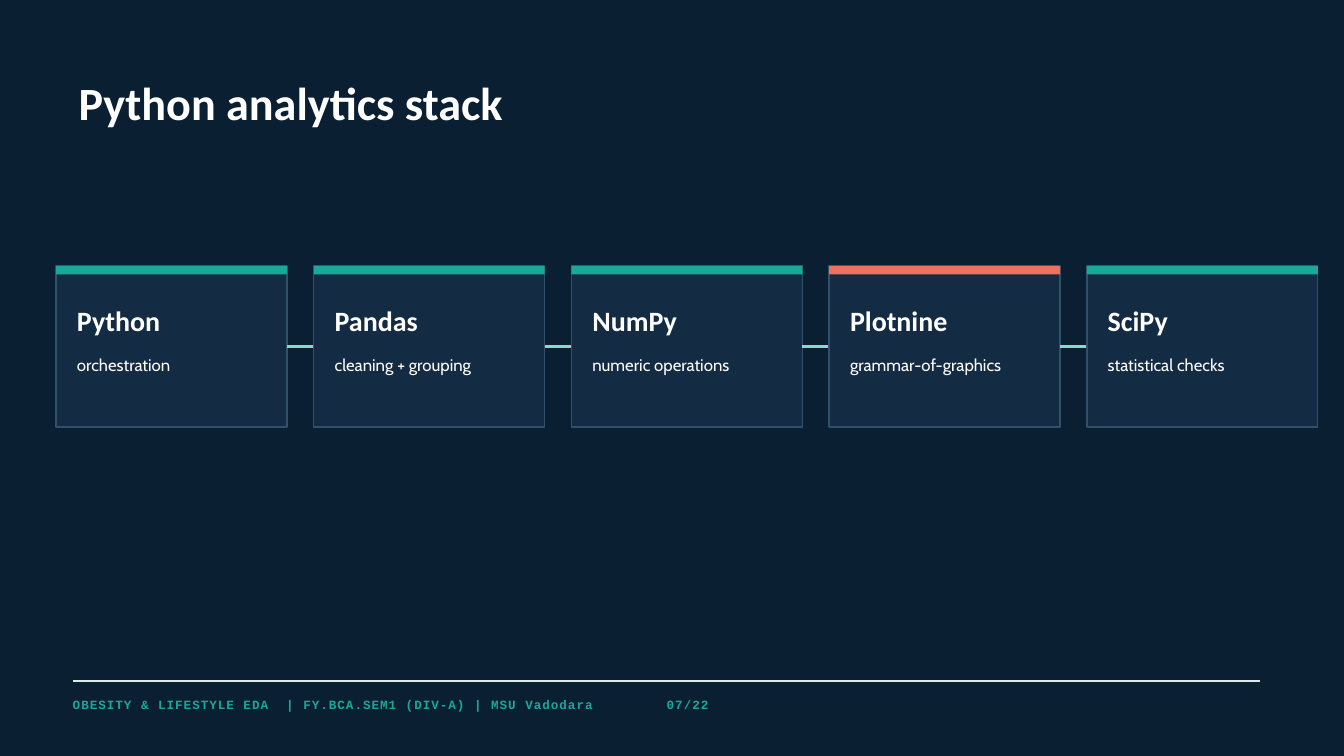
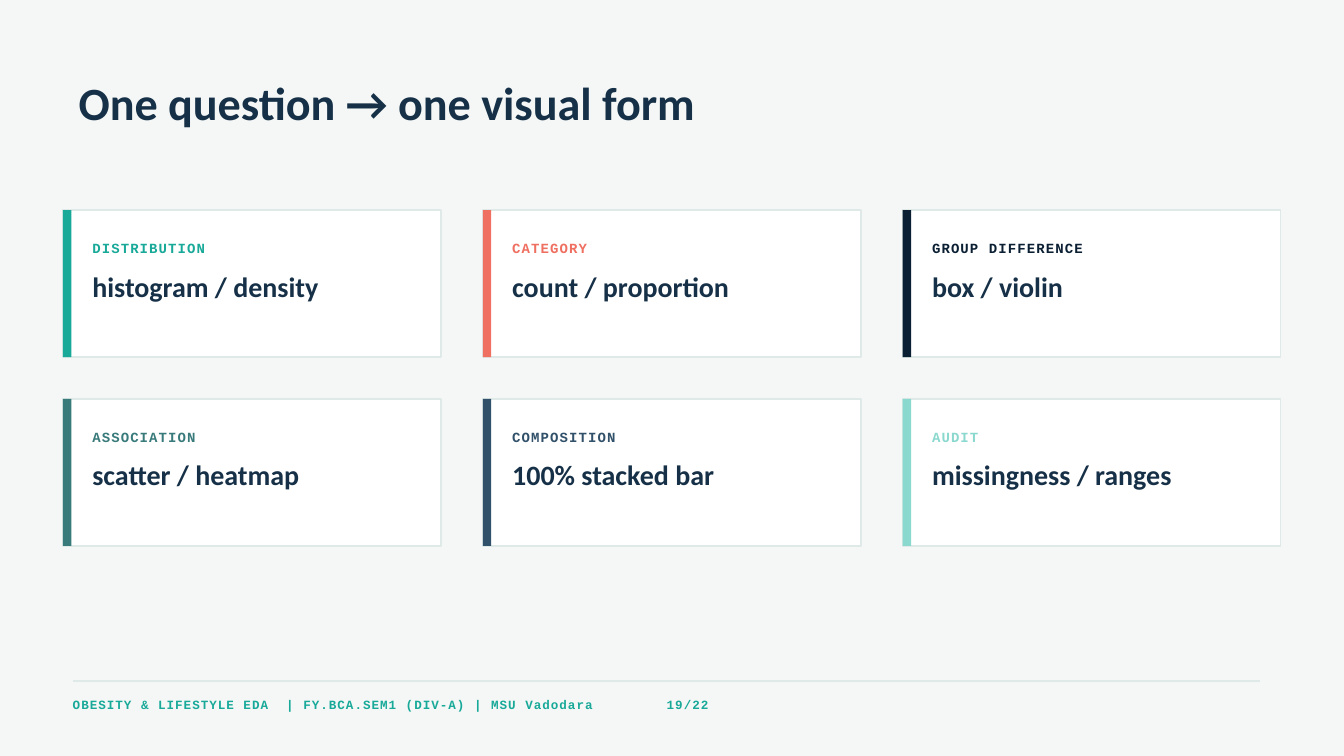
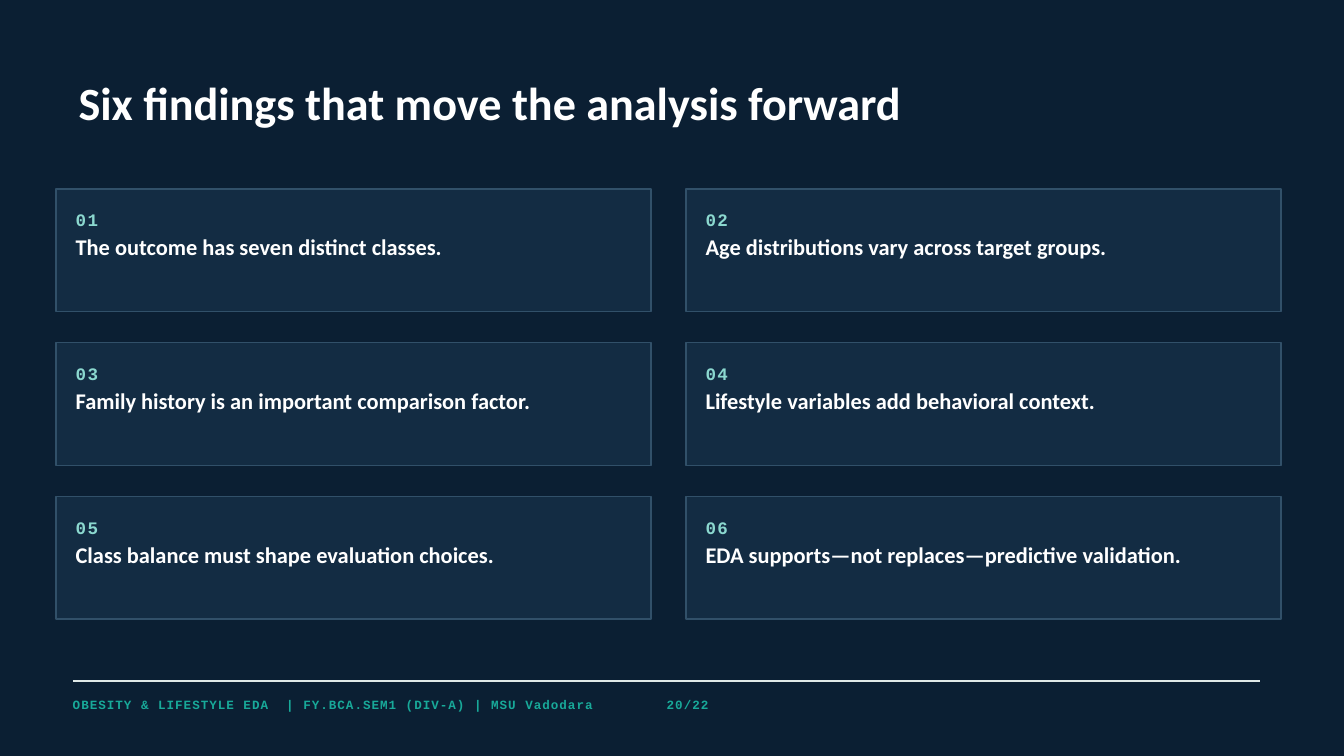
from lxml.etree import SubElement
from pptx import Presentation
from pptx.dml.color import RGBColor
from pptx.enum.shapes import MSO_CONNECTOR, MSO_SHAPE
from pptx.enum.text import MSO_ANCHOR, MSO_AUTO_SIZE, PP_ALIGN
from pptx.oxml.ns import qn
from pptx.util import Cm, Pt

NAVY, PANEL, SLATE, INK = "0B1F33", "132C43", "315069", "163047"
TEAL, CORAL, MINT, SEA = "18A999", "EF6F61", "8BD8CF", "397A7B"
WHITE, PAPER, MIST = "FFFFFF", "F4F7F6", "DFE9E7"

COURSE = "OBESITY & LIFESTYLE EDA  | FY.BCA.SEM1 (DIV-A) | MSU Vadodara"
STACK = [
    ("Python", "orchestration", TEAL),
    ("Pandas", "cleaning + grouping", TEAL),
    ("NumPy", "numeric operations", TEAL),
    ("Plotnine", "grammar-of-graphics", CORAL),
    ("SciPy", "statistical checks", TEAL),
]
VISUAL_FORMS = [
    ("DISTRIBUTION", "histogram / density", TEAL),
    ("CATEGORY", "count / proportion", CORAL),
    ("GROUP DIFFERENCE", "box / violin", NAVY),
    ("ASSOCIATION", "scatter / heatmap", SEA),
    ("COMPOSITION", "100% stacked bar", SLATE),
    ("AUDIT", "missingness / ranges", MINT),
]
FINDINGS = [
    "The outcome has seven distinct classes.",
    "Age distributions vary across target groups.",
    "Family history is an important comparison factor.",
    "Lifestyle variables add behavioral context.",
    "Class balance must shape evaluation choices.",
    "EDA supports—not replaces—predictive validation.",
]

FRAME = dict(margin_left=0, margin_top=0, margin_right=0, margin_bottom=0, word_wrap=True,
             vertical_anchor=MSO_ANCHOR.TOP, auto_size=MSO_AUTO_SIZE.SHAPE_TO_FIT_TEXT)


def style(name, size, leading, bold=True, tracking=0):
    """Return the font, line spacing and letter spacing of a kind of text."""
    return dict(font=dict(name=name, size=Pt(size), bold=bold), leading=Pt(leading), tracking=tracking)


TITLE = style("Calibri", 49.5, 51.5)
HEADING = style("Calibri", 30, 31.2)
DETAIL = style("Cabin", 18, 24.3, bold=False)
LABEL = style("Courier New", 15, 21, tracking=120)
NUMBER = style("Courier New", 18.8, 26.2, tracking=150)
FINDING = style("Calibri", 24, 25)
FOOTER = style("Courier New", 13.5, 18.9, tracking=110)

ACCENT = 0.32
STACK_GRID = dict(left=2.12, top=10.05, width=8.73, height=6.09, columns=5, gap_x=1.01, gap_y=0)
FORM_GRID = dict(left=2.38, top=7.94, width=14.29, height=5.56, columns=3, gap_x=1.58, gap_y=1.58)
FINDING_GRID = dict(left=2.12, top=7.14, width=22.49, height=4.63, columns=2, gap_x=1.32, gap_y=1.19)


def color(hex_string):
    """Turn a hex string into a colour."""
    return RGBColor.from_string(hex_string)


def set_all(target, values):
    """Set every attribute named in values."""
    for name, value in values.items():
        setattr(target, name, value)


def write(holder, text, look, ink):
    """Fill a text holder with one formatted line."""
    set_all(holder.text_frame, FRAME)
    paragraph = holder.text_frame.paragraphs[0]
    set_all(paragraph, dict(alignment=PP_ALIGN.LEFT, line_spacing=look["leading"]))
    run = paragraph.add_run()
    run.text = text
    set_all(run.font, look["font"])
    run.font.color.rgb = color(ink)
    if look["tracking"]:
        run._r.get_or_add_rPr().set("spc", str(look["tracking"]))


def add_text(shapes, box, text, look, ink):
    """Add a text box at box, given in centimetres."""
    write(shapes.add_textbox(*map(Cm, box)), text, look, ink)


def add_panel(shapes, box, fill, edge=None):
    """Add a flat rectangle with an optional outline."""
    panel = shapes.add_shape(MSO_SHAPE.RECTANGLE, *map(Cm, box))
    panel.shadow.inherit = False
    panel.fill.solid()
    panel.fill.fore_color.rgb = color(fill)
    if edge:
        panel.line.color.rgb = color(edge)
        panel.line.width = Pt(1.5)
    else:
        panel.line.fill.background()


def add_rule(shapes, start, end, y, ink, weight):
    """Add a horizontal line."""
    rule = shapes.add_connector(MSO_CONNECTOR.STRAIGHT, Cm(start), Cm(y), Cm(end), Cm(y))
    rule.line.color.rgb = color(ink)
    rule.line.width = Pt(weight)
    SubElement(rule._element.spPr, qn("a:effectLst"))


def cell_boxes(grid, count):
    """Yield the box of each card, row by row."""
    for index in range(count):
        row, column = divmod(index, grid["columns"])
        yield (grid["left"] + column * (grid["width"] + grid["gap_x"]),
               grid["top"] + row * (grid["height"] + grid["gap_y"]),
               grid["width"], grid["height"])


def start_slide(deck, title, ground, ink):
    """Add a slide with its background and title."""
    slide = deck.slides.add_slide(deck.slide_layouts[5])
    slide.background.fill.solid()
    slide.background.fill.fore_color.rgb = color(ground)
    heading = slide.shapes.title
    set_all(heading, dict(left=Cm(2.97), top=Cm(3.1), width=Cm(39.67), height=Cm(1.96)))
    write(heading, title, TITLE, ink)
    return slide.shapes


def add_footer(shapes, page):
    """Add the footer rule, course line and page number."""
    footer = shapes.add_group_shape().shapes
    add_rule(footer, 2.75, 47.63, 25.76, MIST, 2)
    for x, text in ((2.75, COURSE), (25.2, page)):
        add_text(footer, (x, 26.26, 23.65, 0.64), text, FOOTER, TEAL)


def build_stack(deck):
    """Build the chain of analytics tools."""
    shapes = start_slide(deck, "Python analytics stack", NAVY, WHITE)
    for index, (box, (tool, role, accent)) in enumerate(zip(cell_boxes(STACK_GRID, len(STACK)), STACK)):
        x, y, width, height = box
        if index:
            add_rule(shapes, x - STACK_GRID["gap_x"], x, y + height / 2, MINT, 3)
        card = shapes.add_group_shape().shapes
        add_panel(card, box, PANEL, SLATE)
        add_panel(card, (x, y, width, ACCENT), accent)
        add_text(card, (x + 0.79, y + 1.6, 7.94, 1.19), tool, HEADING, WHITE)
        add_text(card, (x + 0.79, y + 3.26, 7.94, 0.81), role, DETAIL, WHITE)
    add_footer(shapes, "07/22")


def build_visual_forms(deck):
    """Build the grid matching questions to chart forms."""
    shapes = start_slide(deck, "One question → one visual form", PAPER, INK)
    for box, (question, form, accent) in zip(cell_boxes(FORM_GRID, len(VISUAL_FORMS)), VISUAL_FORMS):
        x, y, width, height = box
        card = shapes.add_group_shape().shapes
        add_panel(card, box, WHITE, MIST)
        add_panel(card, (x, y, ACCENT, height), accent)
        add_text(card, (x + 1.11, y + 1, 11.38, 0.69), question, LABEL, accent)
        add_text(card, (x + 1.11, y + 2.4, 11.64, 1.19), form, HEADING, INK)
    add_footer(shapes, "19/22")


def build_findings(deck):
    """Build the grid of numbered findings."""
    shapes = start_slide(deck, "Six findings that move the analysis forward", NAVY, WHITE)
    for number, (box, finding) in enumerate(zip(cell_boxes(FINDING_GRID, len(FINDINGS)), FINDINGS), 1):
        x, y, width, height = box
        card = shapes.add_group_shape().shapes
        add_panel(card, box, PANEL, SLATE)
        add_text(card, (x + 0.74, y + 0.63, 2.12, 0.86), f"{number:02}", NUMBER, MINT)
        add_text(card, (x + 0.74, y + 1.8, 20.9, 0.97), finding, FINDING, WHITE)
    add_footer(shapes, "20/22")


def main():
    """Build and save the deck."""
    deck = Presentation()
    set_all(deck, dict(slide_width=Cm(50.8), slide_height=Cm(28.58)))
    for build in (build_stack, build_visual_forms, build_findings):
        build(deck)
    deck.save("out.pptx")


if __name__ == "__main__":
    main()
